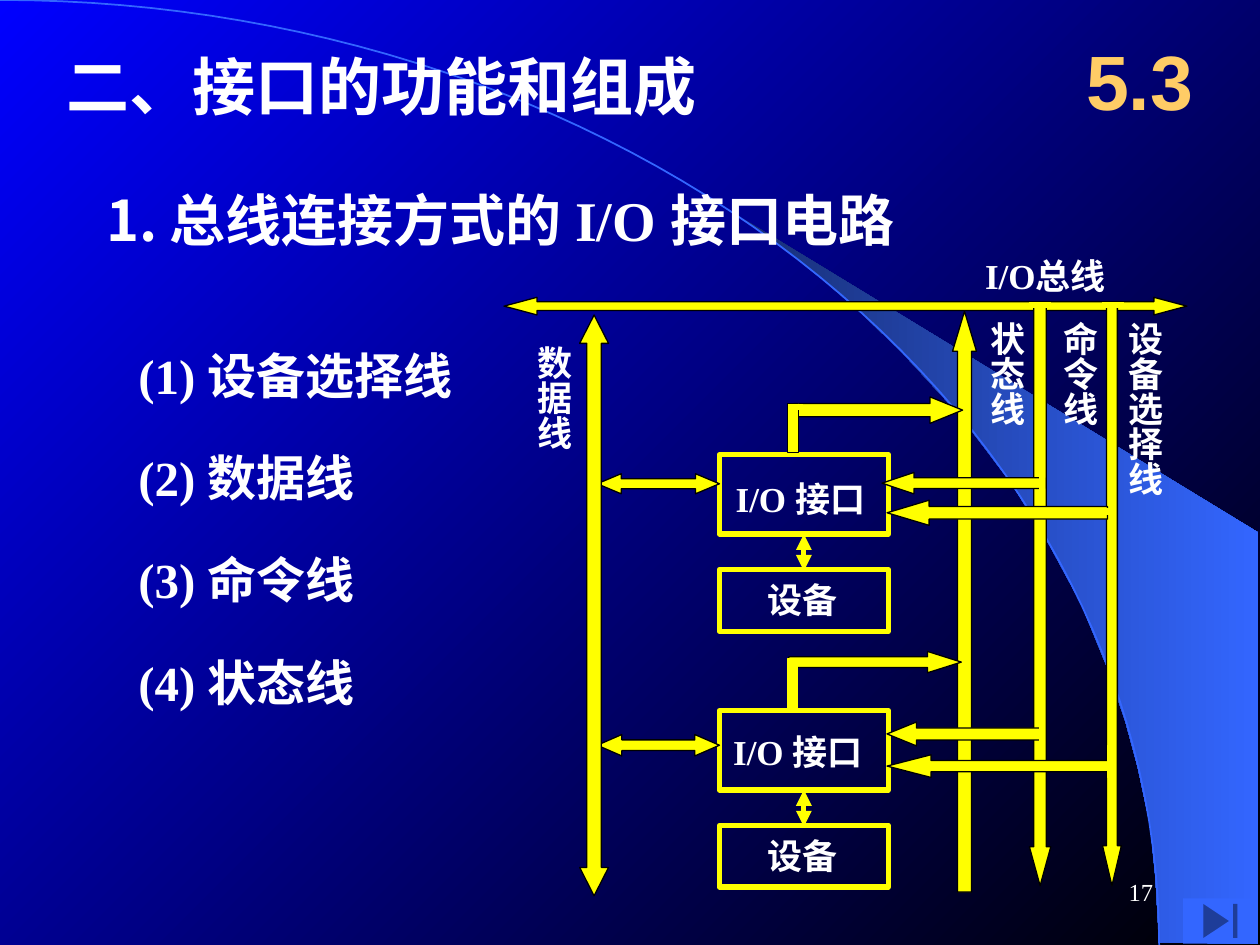
import math
from lxml import etree
from pptx import Presentation
from pptx.dml.color import RGBColor
from pptx.enum.shapes import MSO_CONNECTOR, MSO_SHAPE
from pptx.enum.text import MSO_ANCHOR, PP_ALIGN
from pptx.oxml.ns import qn
from pptx.util import Inches, Pt

RECT, BUTTON = MSO_SHAPE.RECTANGLE, MSO_SHAPE.ACTION_BUTTON_END
LEFT, RIGHT = MSO_SHAPE.LEFT_ARROW, MSO_SHAPE.RIGHT_ARROW
UP, DOWN = MSO_SHAPE.UP_ARROW, MSO_SHAPE.DOWN_ARROW
BOTH = MSO_SHAPE.LEFT_RIGHT_ARROW
STRAIGHT = MSO_CONNECTOR.STRAIGHT
TOP, MIDDLE = MSO_ANCHOR.TOP, MSO_ANCHOR.MIDDLE
CENTER, RIGHT_ALIGN = PP_ALIGN.CENTER, PP_ALIGN.RIGHT

CELL = Inches(0.1)  # the slide is a grid of 100 columns by 75 rows
COLS, ROWS = 100, 75
BUS_LENGTH = 46.1
YELLOW, WHITE, BLACK, BLUE = "FFFF00", "FFFFFF", "000000", "3366FF"


def rgb(value):
    return RGBColor.from_string(value)


def cells(*values):
    return [round(v * CELL) for v in values]


def gradient(fill, start, end, angle):
    fill.gradient()
    fill.gradient_angle = angle
    for stop, color in zip(fill.gradient_stops, (start, end)):
        stop.color.rgb = rgb(color)


def style(sp, fill=None, line=None, width=0.75):
    sp.shadow.inherit = False
    if fill:
        sp.fill.solid()
        sp.fill.fore_color.rgb = rgb(fill)
    else:
        sp.fill.background()
    if line:
        sp.line.color.rgb = rgb(line)
        sp.line.width = Pt(width)
    else:
        sp.line.fill.background()


def block(s, kind, box, fill=YELLOW, line=BLACK, width=0.75, adj=()):
    sp = s.shapes.add_shape(kind, *cells(*box))
    style(sp, fill, line, width)
    for i, value in enumerate(adj):
        sp.adjustments[i] = value
    return sp


def arrow(s, kind, box, head, shaft=0.5):
    return block(s, kind, box, adj=(shaft, head))


def label(s, box, text, size, font="Times New Roman", color=WHITE, bold=True,
          anchor=TOP, vertical=False, align=None):
    tf = s.shapes.add_textbox(*cells(*box)).text_frame
    tf.word_wrap = True
    tf.vertical_anchor = anchor
    if vertical:
        tf._txBody.bodyPr.set("vert", "eaVert")
        tf.margin_left = tf.margin_right = Inches(0.05)
        tf.margin_top = tf.margin_bottom = Inches(0.1)
    p = tf.paragraphs[0]
    p.alignment = align
    r = p.add_run()
    r.text = text
    r.font.size, r.font.name, r.font.bold = Pt(size), font, bold
    r.font.color.rgb = rgb(color)
    return p


def number(p, indent, color):
    pPr = p._p.get_or_add_pPr()
    pPr.set("marL", str(indent))
    pPr.set("indent", str(-indent))
    clr = etree.SubElement(pPr, qn("a:buClr"))
    etree.SubElement(clr, qn("a:srgbClr")).set("val", color)
    etree.SubElement(pPr, qn("a:buAutoNum")).set("type", "arabicPeriod")


def outline(s, points, close):
    corners = [cells(*point) for point in points]
    fb = s.shapes.build_freeform(*corners[0], scale=1.0)
    fb.add_line_segments(corners[1:], close=close)
    return fb.convert_to_shape()


def background(s, w, h):
    gradient(s.background.fill, "0000FF", "000000", 315)
    # Light beam, bounded on its left by the arc
    beam = outline(s, [
        (92, 74.8), (99.9, 74.9), (99.9, 42.3), (58.9, 17.3), (62.4, 19.9),
        (65.3, 22.2), (68.5, 25), (71.6, 28), (76.2, 33), (80.3, 38.4),
        (83.2, 43.1), (85.8, 47.9), (87.8, 52.8), (89.3, 57.2),
        (90.3, 60.9), (91.3, 65.6), (91.7, 69.6)], True)
    style(beam)
    gradient(beam.fill, "182F76", BLUE, 0)
    # Quarter ellipse
    turns = [math.pi / 2 * i / 60 for i in range(61)]
    arc = outline(s, [(0.92 * w * math.sin(t), h * (1 - math.cos(t)))
                      for t in turns], False)
    style(arc, None, BLUE, 1)


def headings(s, x, y):
    label(s, (x, y, 55, 7), "二、接口的功能和组成", 36)
    p = label(s, (x + 3.2, y + 10.9, 68, 6.4),
              "总线连接方式的 I/O 接口电路", 32)
    number(p, Inches(0.5), WHITE)
    label(s, (x + 79.9, y - 1.6, 12.5, 9.2), "5.3", 44, "Arial", "FFCC66",
          anchor=MIDDLE, align=CENTER)


def line_list(s, x, y, pitch):
    for i, name in enumerate(("设备选择线", "数据线", "命令线", "状态线")):
        label(s, (x, y + i * pitch, 29, 5.7), f"({i + 1}) {name}", 28)


def buses(s, x, y):
    arrow(s, BOTH, (x, y, 54.2, 1.4), 1.87)
    arrow(s, UP, (x + 35.6, y + 1.1, 1.9, BUS_LENGTH), 1.67, 0.58)
    arrow(s, DOWN, (x + 41.7, y + 0.6, 1.7, BUS_LENGTH), 1.82, 0.58)
    arrow(s, DOWN, (x + 47.5, y + 0.6, 1.5, BUS_LENGTH), 2.12, 0.58)
    # Names of the buses
    label(s, (x + 37.2, y - 3.9, 14, 4.4), "I/O总线", 20)
    for dx, dy, name in ((0.8, 2.8, "数据线"), (36.8, 0.9, "状态线"),
                         (42.6, 0.9, "命令线"), (47.7, 0.9, "设备选择线")):
        label(s, (x + dx, y + dy, 5.3, 2.5 + 2.8 * len(name)), name, 20,
              vertical=True)


def data_bus(s, x, y, thickness):
    # A double arrow turned upright about its centre
    shift = (BUS_LENGTH - thickness) / 2
    sp = arrow(s, BOTH, (x - shift, y + shift, BUS_LENGTH, thickness), 0.98)
    sp.rotation = 90


def interface(s, x, y, text, status, stem, command, select, data):
    # Interface over its device
    block(s, RECT, (x, y, 13.4, 6.3), None, YELLOW, 3)
    label(s, (x + text[0], y + text[1], 14.5, 4.4), "I/O 接口", 20)
    block(s, RECT, (x, y + 9.1, 13.4, 4.9), None, YELLOW, 3)
    label(s, (x + 2.8, y + 9.3, 9.5, 4.4), "设备", 20)
    link = s.shapes.add_connector(
        STRAIGHT, *cells(x + 6.7, y + 9.2, x + 6.7, y + 6.3))
    link.line.color.rgb = rgb(YELLOW)
    link.line.width = Pt(3)
    ln = link.line._get_or_add_ln()
    for end in ("a:headEnd", "a:tailEnd"):
        etree.SubElement(ln, qn(end)).set("type", "triangle")
    etree.SubElement(link._element.spPr, qn("a:effectLst"))
    # Arrows to and from the buses: left, top, width, height, head
    for kind, (dx, dy, w, h, head) in ((LEFT, command), (LEFT, select),
                                       (RIGHT, status), (BOTH, data)):
        arrow(s, kind, (x + dx, y + dy, w, h), head)
    width, edge = stem
    block(s, RECT, (x + 5.4, y - 4.1, width, 3.9), line=edge)


def joints(s, x, y):
    # Patches hiding the outlines where two arrows meet
    for dx, dy, w, h in ((19.2, 0, 1.7, 0.4), (25, 0, 1.7, 0.4),
                         (20, 13.5, 0.4, 1.7), (25, 16.4, 0.8, 0.4),
                         (20, 32.7, 0.4, 2.5), (25.4, 35.2, 0.4, 2.5),
                         (0.8, 8.1, 0.4, 0.4)):
        block(s, RECT, (x + dx, y + dy, w, h), line=YELLOW)


def footer(s, w, h):
    label(s, (w - 28.3, h - 6.7, 20.8, 5), "17", 14, bold=False,
          anchor=MIDDLE, align=RIGHT_ALIGN)
    block(s, BUTTON, (w - 6.1, h - 3.7, 5.9, 3.6), BLUE, None)


def main():
    prs = Presentation()
    prs.slide_width, prs.slide_height = cells(COLS, ROWS)
    s = prs.slides.add_slide(prs.slide_layouts[6])
    background(s, COLS, ROWS)
    headings(s, 4.3, 3.3)
    line_list(s, 10, 26.9, 8.13)
    buses(s, 40, 23.6)
    interface(s, 57.1, 36.1, text=(0.3, 1.3),
              status=(5.9, -4.6, 13.4, 2.1, 1.23), stem=(0.9, BLACK),
              command=(12.9, 1.4, 12.9, 1.7, 1.49),
              select=(13.3, 3.6, 17.5, 2, 1.67),
              data=(-9.7, 1.5, 9.7, 1.6, 1.19))
    interface(s, 57.1, 56.4, text=(0.1, 1.1),
              status=(5.5, -4.7, 13.7, 1.7, 1.58), stem=(0.8, YELLOW),
              command=(13.3, 0.9, 12.3, 1.9, 1.23),
              select=(13.3, 3.5, 17.7, 1.8, 1.94),
              data=(-9.7, 1.9, 9.7, 1.7, 1.15))
    joints(s, 62.5, 24)
    data_bus(s, 46, 25, 2.3)
    footer(s, COLS, ROWS)
    prs.save("out.pptx")


if __name__ == "__main__":
    main()
